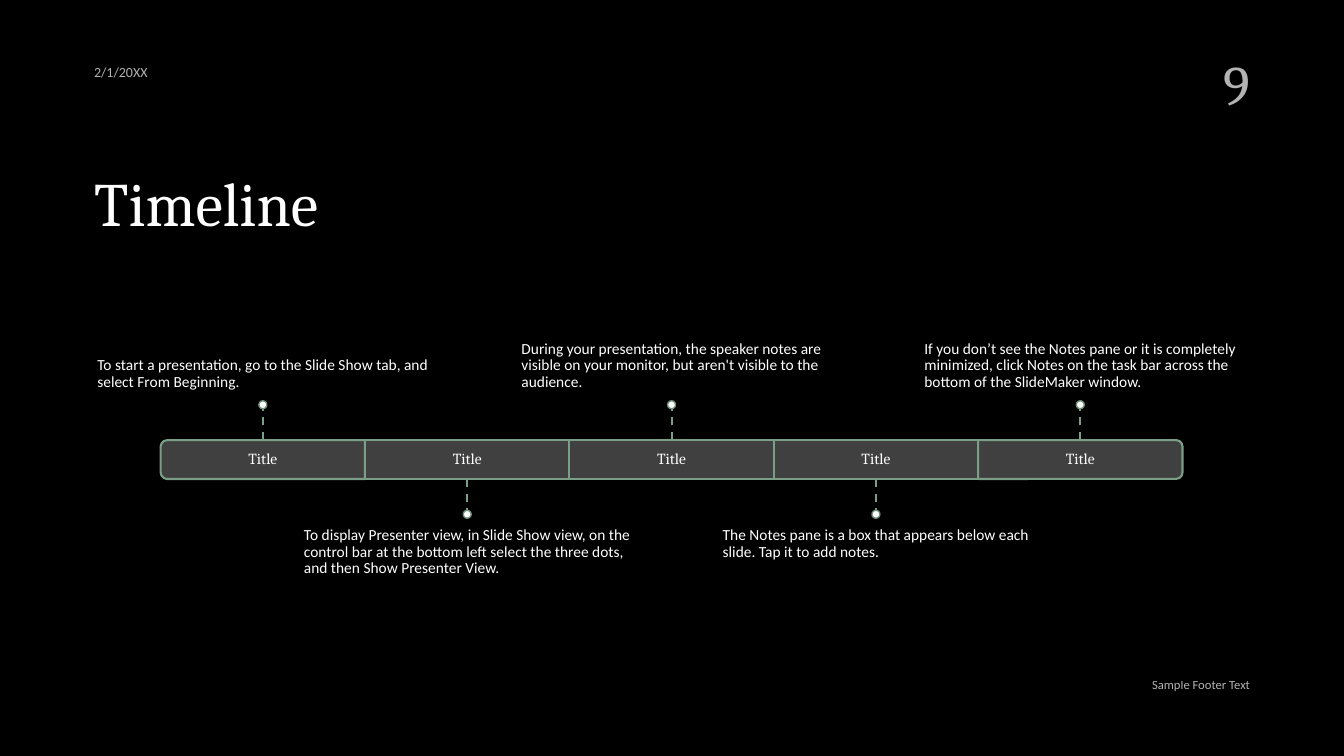
import pptx
import pptx.dml.color
import pptx.enum.dml
import pptx.enum.shapes
import pptx.enum.text
import pptx.util
from pptx.oxml.ns import qn
from lxml import etree

Cm = pptx.util.Cm
Pt = pptx.util.Pt
Shape = pptx.enum.shapes.MSO_SHAPE
Anchor = pptx.enum.text.MSO_ANCHOR
Align = pptx.enum.text.PP_ALIGN

COLORS = {"page": "000000", "text": "FFFFFF", "bar": "404040",
          "line": "7B9E87", "dot_line": "708F7B"}
HEADING, BODY = "Cambria", "Calibri"

# Timeline geometry in centimetres
BAR_LEFT, BAR_TOP, BAR_HEIGHT, STEP = 4.05, 11.09, 0.98, 5.15
STEM, DOT = 0.79, 0.2
NOTE_WIDTH, NOTE_HEIGHT = 8.58, 3.43
INSET = 0.23

# Segment label and note; notes alternate above and below the bar
STEPS = [
    ("Title", "To start a presentation, go to the Slide Show tab, and select From Beginning."),
    ("Title", "To display Presenter view, in Slide Show view, on the control bar at the "
              "bottom left select the three dots, and then Show Presenter View."),
    ("Title", "During your presentation, the speaker notes are visible on your monitor, "
              "but aren't visible to the audience."),
    ("Title", "The Notes pane is a box that appears below each slide. Tap it to add notes."),
    ("Title", "If you don’t see the Notes pane or it is completely minimized, click Notes on "
              "the task bar across the bottom of the SlideMaker window."),
]


def rgb(name):
    return pptx.dml.color.RGBColor.from_string(COLORS[name])


def set_all(target, values):
    for name, value in values.items():
        setattr(target, name, value)


def write(box, text, font, size, align=Align.LEFT, anchor=Anchor.TOP,
          spacing=1.0, alpha=None, insets=None):
    frame = box.text_frame
    set_all(frame, {"word_wrap": True, "vertical_anchor": anchor,
                    "auto_size": pptx.enum.text.MSO_AUTO_SIZE.NONE})
    set_all(frame, {f"margin_{side}": Cm(value) for side, value in (insets or {}).items()})
    para = frame.paragraphs[0]
    set_all(para, {"alignment": align, "line_spacing": spacing})
    span = para.add_run()
    span.text = text
    set_all(span.font, {"name": font, "size": Pt(size)})
    span.font.color.rgb = rgb("text")
    if alpha is not None:
        for color in span.font.fill._xPr.iter(qn("a:srgbClr")):
            etree.SubElement(color, qn("a:alpha")).set("val", str(alpha * 1000))


def add_text(page, bounds, *args, **formats):
    box = page.shapes.add_textbox(*map(Cm, bounds))
    write(box, *args, **formats)
    return box


def add_shape(page, kind, bounds, fill, line, weight):
    shape = page.shapes.add_shape(kind, *map(Cm, bounds))
    shape.shadow.inherit = False
    shape.fill.solid()
    shape.fill.fore_color.rgb = rgb(fill)
    shape.line.color.rgb = rgb(line)
    shape.line.width = Pt(weight)
    return shape


def add_segment(page, index, left, label):
    bounds = (left, BAR_TOP, STEP, BAR_HEIGHT)
    rotation = {0: 270, len(STEPS) - 1: 90}.get(index)
    if rotation is None:
        segment = add_shape(page, Shape.RECTANGLE, bounds, "bar", "line", 1.5)
    else:
        # Rounded ends stand upright and are turned about their centre
        shift = (STEP - BAR_HEIGHT) / 2
        upright = (left + shift, BAR_TOP - shift, BAR_HEIGHT, STEP)
        segment = add_shape(page, Shape.ROUND_2_SAME_RECTANGLE, upright, "bar", "line", 1.5)
        segment.rotation = rotation
    add_text(page, bounds, label, HEADING, 11, align=Align.CENTER, anchor=Anchor.MIDDLE,
             spacing=0.9, insets=dict.fromkeys(("left", "top", "right", "bottom"), INSET))
    return segment


def add_stem(page, segment, middle, above):
    edge = BAR_TOP if above else BAR_TOP + BAR_HEIGHT
    tip = edge - STEM if above else edge + STEM
    stem = page.shapes.add_connector(pptx.enum.shapes.MSO_CONNECTOR.STRAIGHT,
                                     *map(Cm, (middle, edge, middle, tip)))
    if not segment.rotation:
        stem.begin_connect(segment, 0 if above else 2)
    set_all(stem.line, {"width": Pt(1.5),
                        "dash_style": pptx.enum.dml.MSO_LINE.DASH})
    stem.line.color.rgb = rgb("line")
    etree.SubElement(stem.element.spPr, qn("a:effectLst"))
    dot_top = tip - DOT if above else tip
    add_shape(page, Shape.OVAL, (middle - DOT / 2, dot_top, DOT, DOT), "text", "dot_line", 1)


def add_note(page, middle, above, text):
    top = 6.65 if above else 13.06
    insets = {"left": 0, "right": 0, "top": 0 if above else INSET,
              "bottom": INSET if above else 0}
    box = add_text(page, (middle - NOTE_WIDTH / 2, top, NOTE_WIDTH, NOTE_HEIGHT), text, BODY, 11,
                   anchor=Anchor.BOTTOM if above else Anchor.TOP, spacing=0.9, insets=insets)
    # Centre the left-aligned block within its box
    box.element.find(".//" + qn("a:bodyPr")).set("anchorCtr", "1")


def main():
    deck = pptx.Presentation()
    set_all(deck, {"slide_width": Cm(33.87), "slide_height": Cm(19.05)})
    page = deck.slides.add_slide(deck.slide_layouts[5])
    page.background.fill.solid()
    page.background.fill.fore_color.rgb = rgb("page")

    # Title
    title = page.shapes.title
    set_all(title, {"left": Cm(2.12), "top": Cm(4.24), "width": Cm(29.63), "height": Cm(2.41)})
    write(title, "Timeline", HEADING, 44, spacing=0.9)

    # Timeline
    for index, (label, note) in enumerate(STEPS):
        left = BAR_LEFT + index * STEP
        middle, above = left + STEP / 2, index % 2 == 0
        segment = add_segment(page, index, left, label)
        add_note(page, middle, above, note)
        add_stem(page, segment, middle, above)

    # Date, footer and page number
    add_text(page, (2.12, 1.12, 8.46, 1.02), "2/1/20XX", BODY, 10,
             anchor=Anchor.BOTTOM, alpha=70)
    add_text(page, (19.05, 16.94, 12.7, 1.02), "Sample Footer Text", BODY, 9,
             align=Align.RIGHT, alpha=70)
    add_text(page, (25.4, 1.12, 6.35, 2.11), "9", HEADING, 40, align=Align.RIGHT, alpha=70)

    deck.save("out.pptx")


if __name__ == "__main__":
    main()
